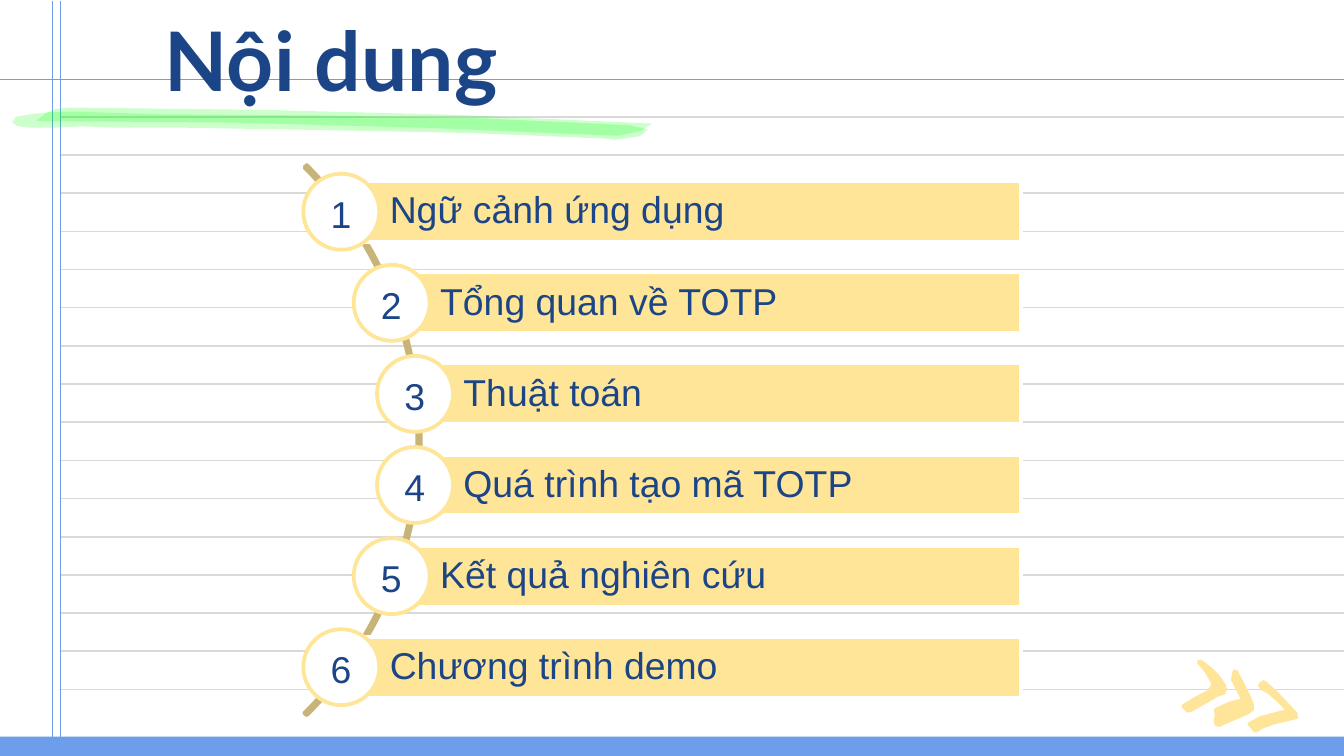
from lxml.etree import SubElement
from pptx import Presentation
from pptx.dml.color import RGBColor
from pptx.enum.shapes import MSO_CONNECTOR, MSO_SHAPE
from pptx.enum.text import MSO_ANCHOR, PP_ALIGN
from pptx.oxml.ns import qn
from pptx.util import Pt

WHITE = RGBColor(0xFF, 0xFF, 0xFF)
GRAY = RGBColor(0xD9, 0xD9, 0xD9)
BLUE = RGBColor(0x6D, 0x9E, 0xEB)
NAVY = RGBColor(0x1C, 0x45, 0x87)
GREEN = RGBColor(0x00, 0xFF, 0x00)
SAND = RGBColor(0xFE, 0xE5, 0x97)
GOLD = RGBColor(0xFF, 0xE5, 0x99)
TAN = RGBColor(0xC8, 0xB4, 0x78)

WIDTH, HEIGHT = 720, 405
STEP = 48.8
BAR_TOP, BAR_END = 97.2, 547

TITLE = {"name": "Lato", "size": Pt(44), "bold": True}
BODY = {"name": "Arial", "size": Pt(20)}

ITEMS = [
    ("Ngữ cảnh ứng dụng", 183),
    ("Tổng quan về TOTP", 210),
    ("Thuật toán", 222.5),
    ("Quá trình tạo mã TOTP", 222.5),
    ("Kết quả nghiên cứu", 210),
    ("Chương trình demo", 183),
]

STROKES = [
    [(37.4, 57.6), (142, 58.9), (246, 61.6), (349.2, 66.2), (343.4, 70),
     (331, 72.7), (227.5, 68.4), (124.5, 65.7), (19.4, 64.8), (24, 61),
     (30, 58.3)],
    [(40.3, 59.8), (85, 61.2), (175, 61.9), (258, 63.4), (337, 67),
     (347, 69.3), (343, 73), (329.8, 74.9), (324, 74.2), (253, 71.3),
     (178.6, 69.8), (97.9, 68.4), (61.9, 68.4), (43.9, 67.7), (30.2, 68.4),
     (16.6, 68.4), (9.5, 67.7), (6.5, 65.5), (8.6, 62.6), (16.6, 61.2),
     (27, 60)],
]

CHEVRONS = [
    [(641.5, 353.5), (643.7, 353.5), (645.8, 355), (649.4, 357.8),
     (653, 361.4), (656.6, 366.5), (657.4, 369.4), (655.9, 372.2),
     (653, 373), (649.4, 375.1), (637.9, 381.6), (635.8, 381.6),
     (632.9, 378.7), (633.6, 377.3), (642.2, 372.2), (646.6, 370.1),
     (648.7, 367.2), (648.7, 365.8), (645.8, 360.7), (643, 357.1),
     (641.5, 355.7)],
    [(660.2, 360), (661, 358.6), (663.1, 359.3), (666, 365),
     (669.6, 372.2), (671.8, 377.3), (671.8, 380.2), (669.6, 382.3),
     (664.6, 384.5), (653, 389.5), (650.9, 388.8), (650.2, 385.9),
     (650.9, 383), (650.2, 380.9), (650.9, 379.4), (658.8, 375.8),
     (664.6, 374.4), (663.1, 371.5), (659.5, 364.3)],
    [(674.6, 365.8), (676.8, 364.3), (678.2, 365), (684, 370.1),
     (694.8, 381.6), (695.5, 384.5), (694.8, 385.2), (682.6, 388.1),
     (676.8, 390.2), (673.2, 392.4), (671.8, 392.4), (668.9, 388.8),
     (668.2, 387.4), (671, 385.9), (674.6, 383.8), (688.3, 380.2),
     (684, 375.8), (679, 371.5), (675.4, 369.4), (673.9, 367.2)],
]


def paint(shape, fill=None, line=None):
    shape.shadow.inherit = False
    if fill is None:
        shape.fill.background()
    else:
        shape.fill.solid()
        shape.fill.fore_color.rgb = fill
    if line is None:
        shape.line.fill.background()
    else:
        shape.line.color.rgb = line
        shape.line.width = Pt(2)


def add_preset(slide, kind, box, fill=None, line=None):
    shape = slide.shapes.add_shape(kind, *map(Pt, box))
    paint(shape, fill, line)
    return shape


def add_rule(slide, start, end, color, width=0.75):
    ends = map(Pt, (*start, *end))
    rule = slide.shapes.add_connector(MSO_CONNECTOR.STRAIGHT, *ends)
    rule.line.color.rgb = color
    rule.line.width = Pt(width)
    SubElement(rule._element.spPr, qn("a:effectLst"))


def add_blob(slide, points, fill, alpha=None):
    """Draw a closed filled outline; alpha is the opacity in percent."""
    first, *rest = [(Pt(x), Pt(y)) for x, y in points]
    pen = slide.shapes.build_freeform(*first)
    pen.add_line_segments(rest, close=True)
    blob = pen.convert_to_shape()
    paint(blob, fill)
    if alpha:
        color = blob._element.spPr.find(".//" + qn("a:srgbClr"))
        SubElement(color, qn("a:alpha"), val=str(alpha * 1000))


def write(shape, text, style, insets, align=PP_ALIGN.LEFT,
          anchor=MSO_ANCHOR.TOP, spacing=1.0):
    frame = shape.text_frame
    left, top, right, bottom = map(Pt, insets)
    layout = {"word_wrap": True, "vertical_anchor": anchor,
              "margin_left": left, "margin_top": top,
              "margin_right": right, "margin_bottom": bottom}
    for key, value in layout.items():
        setattr(frame, key, value)
    para = frame.paragraphs[0]
    para.alignment = align
    para.line_spacing = spacing
    run = para.add_run()
    run.text = text
    for key, value in style.items():
        setattr(run.font, key, value)
    run.font.color.rgb = NAVY


def add_label(slide, box, text, style, insets, align=PP_ALIGN.LEFT):
    label = slide.shapes.add_textbox(*map(Pt, box))
    write(label, text, style, insets, align)


def add_paper(slide):
    for row in range(16):
        y = 62.6 + 20.45 * row
        add_rule(slide, (32.4, y), (WIDTH, y), GRAY, 0.86)
    for x in (28, 32.4):
        add_rule(slide, (x, 0.7), (x, HEIGHT), BLUE)
    add_rule(slide, (0, 42.5), (WIDTH, 42.5), BLUE)
    add_preset(slide, MSO_SHAPE.RECTANGLE, (0, 394.6, WIDTH, 10.4), BLUE)


def add_arc(slide):
    arc = add_preset(slide, MSO_SHAPE.BLOCK_ARC,
                     (-191.5, 27.4, 416.9, 416.9), line=TAN)
    for index, value in enumerate((189, 27, 0.0043)):
        arc.adjustments[index] = value


def add_item(slide, index, text, left):
    top = BAR_TOP + STEP * index
    bar = add_preset(slide, MSO_SHAPE.RECTANGLE,
                     (left, top, BAR_END - left, 32.5), SAND, WHITE)
    write(bar, text, BODY, (25.8, 4, 4, 4), anchor=MSO_ANCHOR.MIDDLE,
          spacing=0.9)
    add_preset(slide, MSO_SHAPE.OVAL, (left - 20.5, top - 4.1, 40.7, 40.7),
               WHITE, SAND)
    add_label(slide, (left - 13, top + 1.6, 26, 31.5), str(index + 1), BODY,
              (7.2, 3.6, 7.2, 3.6))


def main():
    deck = Presentation()
    deck.slide_width, deck.slide_height = Pt(WIDTH), Pt(HEIGHT)
    slide = deck.slides.add_slide(deck.slide_layouts[6])
    add_paper(slide)
    add_label(slide, (-18.7, 5, 392.4, 90.7), "Nội dung", TITLE,
              (0, 0, 0, 0), PP_ALIGN.CENTER)
    for stroke in STROKES:
        add_blob(slide, stroke, GREEN, 20)
    for chevron in CHEVRONS:
        add_blob(slide, chevron, GOLD)
    add_arc(slide)
    for index, (text, left) in enumerate(ITEMS):
        add_item(slide, index, text, left)
    deck.save("out.pptx")


if __name__ == "__main__":
    main()
